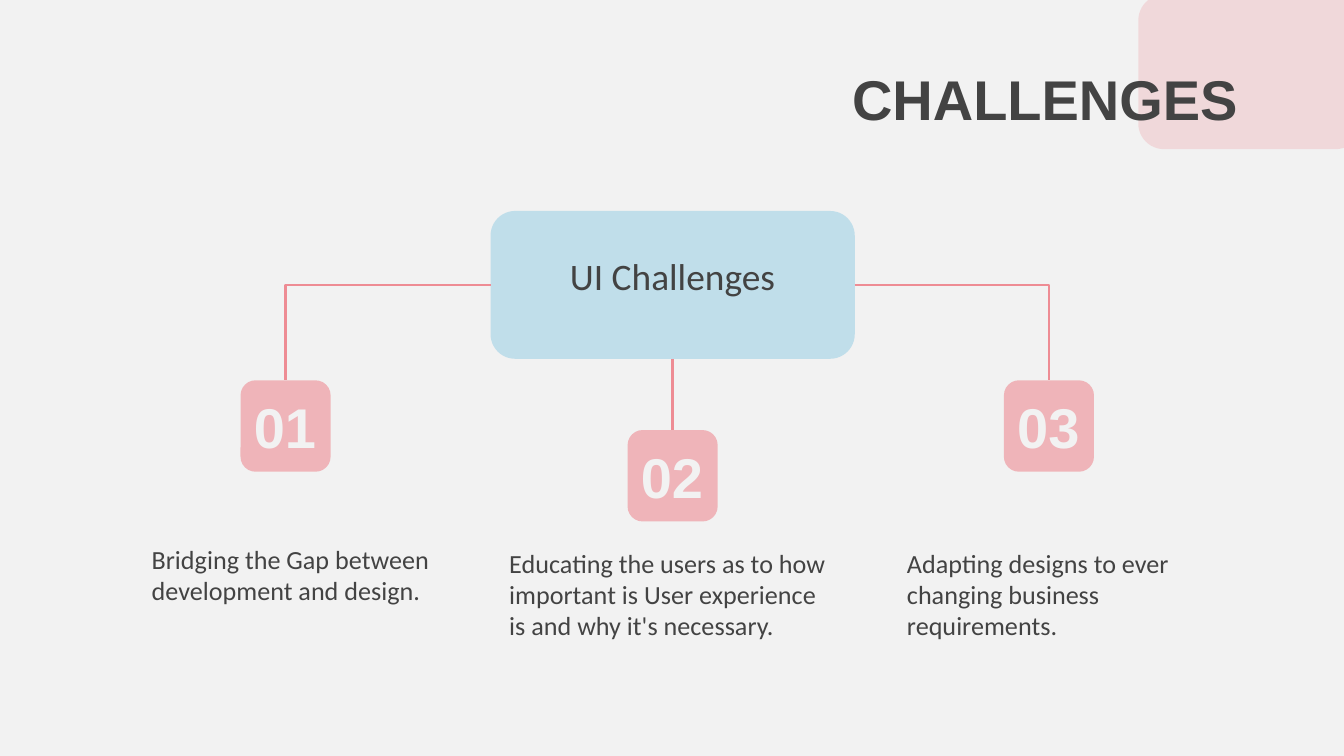
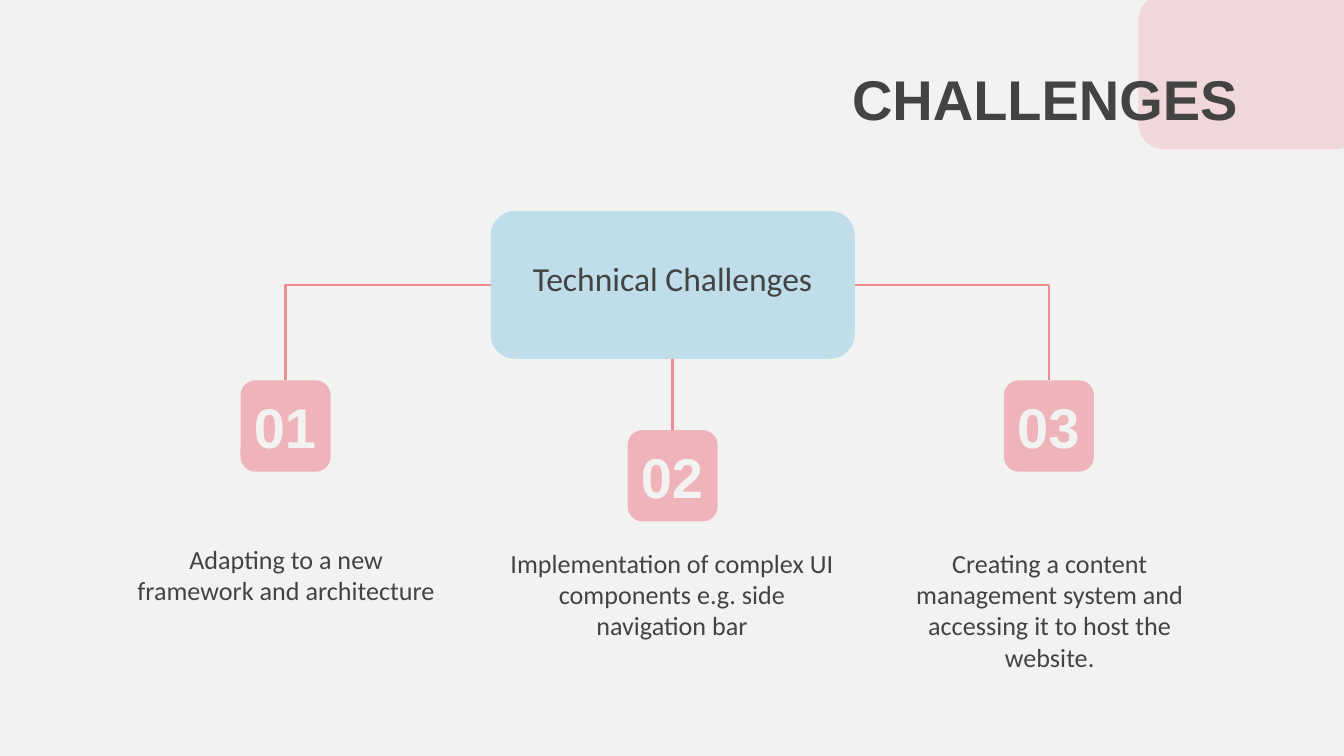
import pptx
import pptx.util
import pptx.dml.color
import pptx.enum.shapes
import pptx.enum.text
import pptx.oxml
import pptx.oxml.ns

Inches = pptx.util.Inches
Pt = pptx.util.Pt
RGB = pptx.dml.color.RGBColor.from_string
qn = pptx.oxml.ns.qn
Link = pptx.enum.shapes.MSO_CONNECTOR
Align = pptx.enum.text.PP_ALIGN
Anchor = pptx.enum.text.MSO_ANCHOR

COLORS = {"back": "F2F2F2", "text": "434343", "pink": "EE8C94", "blue": "AED7E8"}


def add_card(slide, x, y, w, h, color, alpha):
    """Add a rounded, partly transparent box without outline."""
    kind = pptx.enum.shapes.MSO_SHAPE.ROUNDED_RECTANGLE
    card = slide.shapes.add_shape(kind, Inches(x), Inches(y), Inches(w), Inches(h))
    card.shadow.inherit = False
    card.line.fill.background()
    card.fill.solid()
    card.fill.fore_color.rgb = RGB(COLORS[color])
    tint = card.element.spPr.find(".//" + qn("a:srgbClr"))
    tint.append(pptx.oxml.parse_xml(
        f'<a:alpha {pptx.oxml.ns.nsdecls("a")} val="{alpha * 1000}"/>'))
    return card


def set_text(box, text, size, align, font="Calibri", color="text", bold=False,
             anchor=Anchor.TOP, after=16):
    """Fill a text box or placeholder with one styled paragraph."""
    frame = box.text_frame
    frame.word_wrap = True
    frame.auto_size = pptx.enum.text.MSO_AUTO_SIZE.NONE
    frame.vertical_anchor = anchor
    frame.margin_left = frame.margin_right = Inches(0.1)
    frame.margin_top = frame.margin_bottom = Inches(0.1)
    frame.text = text
    para = frame.paragraphs[0]
    para.alignment = align
    para.space_before = Pt(0)
    para.space_after = Pt(after)
    para.font.name = font
    para.font.size = Pt(size)
    para.font.bold = bold
    para.font.color.rgb = RGB(COLORS[color])


# Content: topic, its box top, height and size, then the three notes
slides = [
    {"topic": "UI Challenges", "top": 1.78, "high": 0.71, "size": 20,
     "align": Align.LEFT, "left": 1.03,
     "notes": ["Bridging the Gap between development and design.",
               "Educating the users as to how important is User experience "
               "is and why it's necessary.",
               "Adapting designs to ever changing business requirements."]},
    {"topic": "Technical Challenges", "top": 1.82, "high": 0.66, "size": 18,
     "align": Align.CENTER, "left": 0.91,
     "notes": ["Adapting to a new framework and architecture",
               "Implementation of complex UI components e.g. side navigation bar",
               "Creating a content management system and accessing it to host "
               "the website."]},
]

# Tile left and top, side of the topic box it hangs from (connection site)
tiles = [(1.79, 2.83, 1), (4.67, 3.2, 2), (7.47, 2.83, 3)]

# Widescreen page, 16:9
deck = pptx.Presentation()
deck.slide_width = Inches(10)
deck.slide_height = deck.slide_width * 9 // 16

# Shared background
layout = deck.slide_layouts[5]
layout.background.fill.solid()
layout.background.fill.fore_color.rgb = RGB(COLORS["back"])

for index, item in enumerate(slides):
    slide = deck.slides.add_slide(layout)

    # Corner card, built once and moved to the layout
    if index == 0:
        corner = add_card(slide, 8.47, -0.04, 1.66, 1.15, "pink", 25)
        layout.shapes.element.insert(2, corner.element)

    # Title
    title = slide.shapes.title
    title.left, title.top = Inches(4.56), Inches(0.38)
    title.width, title.height = Inches(4.75), Inches(0.82)
    set_text(title, "CHALLENGES", 30, Align.RIGHT, "Arial", bold=True, after=0)

    # Topic box
    hub = add_card(slide, 3.65, 1.57, 2.71, 1.1, "blue", 73)
    box = slide.shapes.add_textbox(Inches(3.76), Inches(item["top"]),
                                   Inches(2.49), Inches(item["high"]))
    set_text(box, item["topic"], item["size"], Align.CENTER)

    # Numbered tiles, each linked to the topic box
    for num, (x, y, side) in enumerate(tiles, 1):
        tile = add_card(slide, x, y, 0.67, 0.68, "pink", 60)
        kind = Link.STRAIGHT if side == 2 else Link.ELBOW
        link = slide.shapes.add_connector(kind, 0, 0, 0, 0)
        link.begin_connect(hub, side)
        link.end_connect(tile, 0)
        link.line.color.rgb = RGB(COLORS["pink"])
        link.line.width = Pt(1.5)
        props = link.element.spPr
        props.append(pptx.oxml.parse_xml(
            f'<a:effectLst {pptx.oxml.ns.nsdecls("a")}/>'))
        if kind == Link.ELBOW:
            props.find(qn("a:prstGeom")).set("prst", "bentConnector2")
        box = slide.shapes.add_textbox(Inches(x - 0.16), Inches(y + 0.09),
                                       Inches(0.98), Inches(0.5))
        set_text(box, f"{num:02}", 30, Align.CENTER, "Arial", "back", True,
                 Anchor.MIDDLE, 0)

    # Notes below the tiles
    spots = [(item["left"], 3.94, 3.35 - item["left"]),
             (3.69, 3.97, 2.62), (6.65, 3.97, 2.32)]
    for note, (x, y, w) in zip(item["notes"], spots):
        box = slide.shapes.add_textbox(Inches(x), Inches(y), Inches(w), Inches(1.14))
        set_text(box, note, 14, item["align"])

deck.save("out.pptx")
